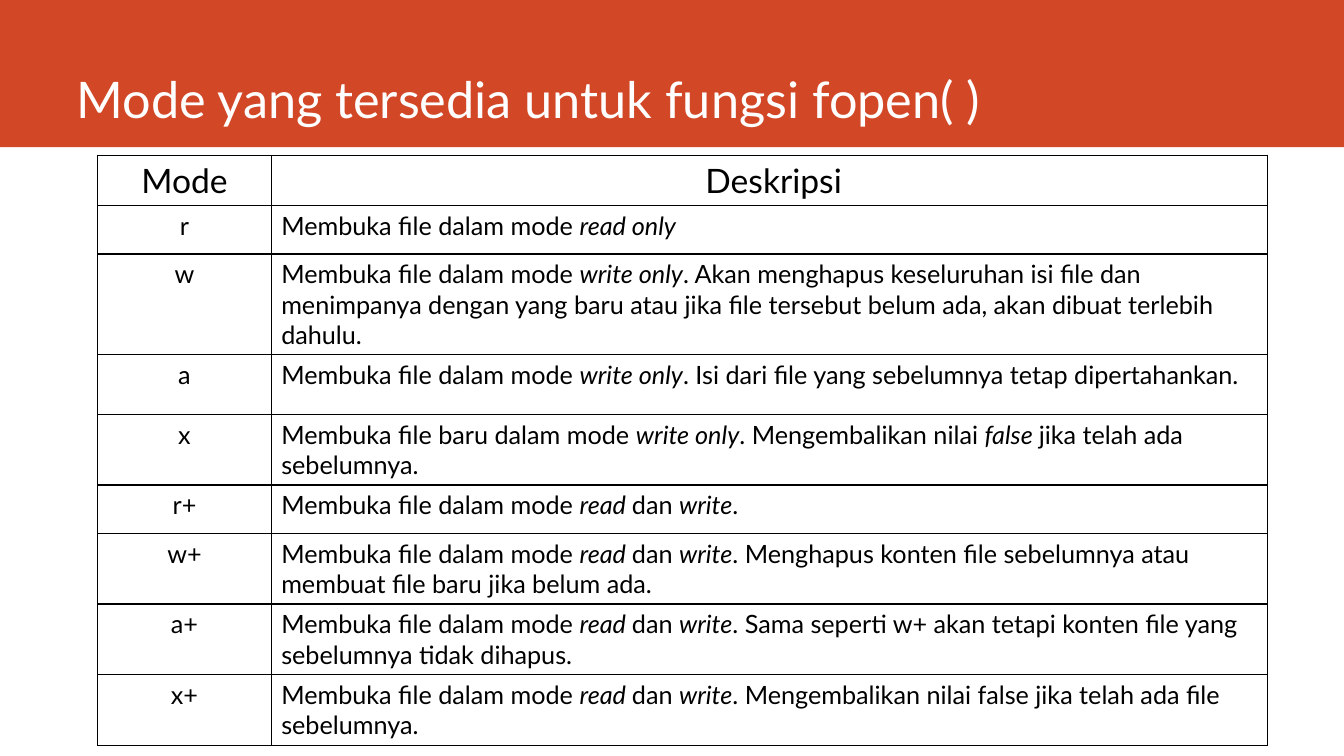
from lxml.etree import SubElement
from pptx import Presentation
from pptx.dml.color import RGBColor
from pptx.enum.shapes import MSO_SHAPE
from pptx.enum.text import MSO_ANCHOR, PP_ALIGN
from pptx.oxml.ns import qn
from pptx.util import Inches, Pt

COLORS = {"banner": "D24726", "title": "FFFFFF", "text": "000000", "border": "000000"}
FONT = "Lato"

# Asterisks enclose italic words
MODES = [
    ("Mode", " Deskripsi", 0.48),
    ("r", "Membuka file dalam mode *read only*", 0.48),
    ("w", "Membuka file dalam mode *write only*. Akan menghapus keseluruhan isi file dan "
          "menimpanya dengan yang baru atau jika file tersebut belum ada, akan dibuat "
          "terlebih dahulu.", 0.84),
    ("a", "Membuka file dalam mode *write only*. Isi dari file yang sebelumnya tetap "
          "dipertahankan.", 0.59),
    ("x", "Membuka file baru dalam mode *write only*. Mengembalikan nilai *false *jika "
          "telah ada sebelumnya.", 0.59),
    ("r+", "Membuka file dalam mode *read *dan *write*.", 0.48),
    ("w+", "Membuka file dalam mode *read *dan *write*. Menghapus konten file sebelumnya "
           "atau membuat file baru jika belum ada.", 0.59),
    ("a+", "Membuka file dalam mode *read *dan *write*. Sama seperti w+ akan tetapi konten "
           "file yang sebelumnya tidak dihapus.", 0.59),
    ("x+", "Membuka file dalam mode *read *dan *write*. Mengembalikan nilai false jika "
           "telah ada file sebelumnya.", 0.59),
]


def set_font(paragraph, size, color):
    paragraph.font.name = FONT
    paragraph.font.size = Pt(size)
    paragraph.font.color.rgb = RGBColor.from_string(COLORS[color])


def add_borders(cell):
    properties = cell._tc.get_or_add_tcPr()
    for position, side in enumerate(("a:lnL", "a:lnR", "a:lnT", "a:lnB")):
        line = SubElement(properties, qn(side), w=str(Pt(1)))
        fill = SubElement(line, qn("a:solidFill"))
        SubElement(fill, qn("a:srgbClr"), val=COLORS["border"])
        properties.insert(position, line)


prs = Presentation()
prs.slide_width, prs.slide_height = Inches(13.33), Inches(7.5)
slide = prs.slides.add_slide(prs.slide_layouts[6])

# Banner
banner = slide.shapes.add_shape(MSO_SHAPE.RECTANGLE, 0, 0, prs.slide_width, Inches(1.46))
banner.shadow.inherit = False
banner.fill.solid()
banner.fill.fore_color.rgb = RGBColor.from_string(COLORS["banner"])
banner.line.fill.background()

# Title
title = slide.shapes.add_textbox(Inches(0.66), 0, Inches(11.76), Inches(1.32)).text_frame
title.word_wrap = True
title.vertical_anchor = MSO_ANCHOR.BOTTOM
title.text = "Mode yang tersedia untuk fungsi fopen( )"
set_font(title.paragraphs[0], 36, "title")

# Table of modes
table = slide.shapes.add_table(len(MODES), 2, Inches(0.97), Inches(1.54),
                               Inches(11.6), Inches(5.96)).table
table.first_row = table.horz_banding = False
table.columns[0].width, table.columns[1].width = Inches(1.72), Inches(9.88)

for row, (mode, description, height) in enumerate(MODES):
    table.rows[row].height = Inches(height)
    for column, content in enumerate((mode, description)):
        cell = table.cell(row, column)
        cell.fill.background()
        add_borders(cell)
        paragraph = cell.text_frame.paragraphs[0]
        is_centered = row == 0 or column == 0
        paragraph.alignment = PP_ALIGN.CENTER if is_centered else PP_ALIGN.LEFT
        set_font(paragraph, 24 if row == 0 else 18, "text")
        for part, words in enumerate(content.split("*")):
            if words:
                run = paragraph.add_run()
                run.text = words
                if part % 2:
                    run.font.italic = True

prs.save("out.pptx")
